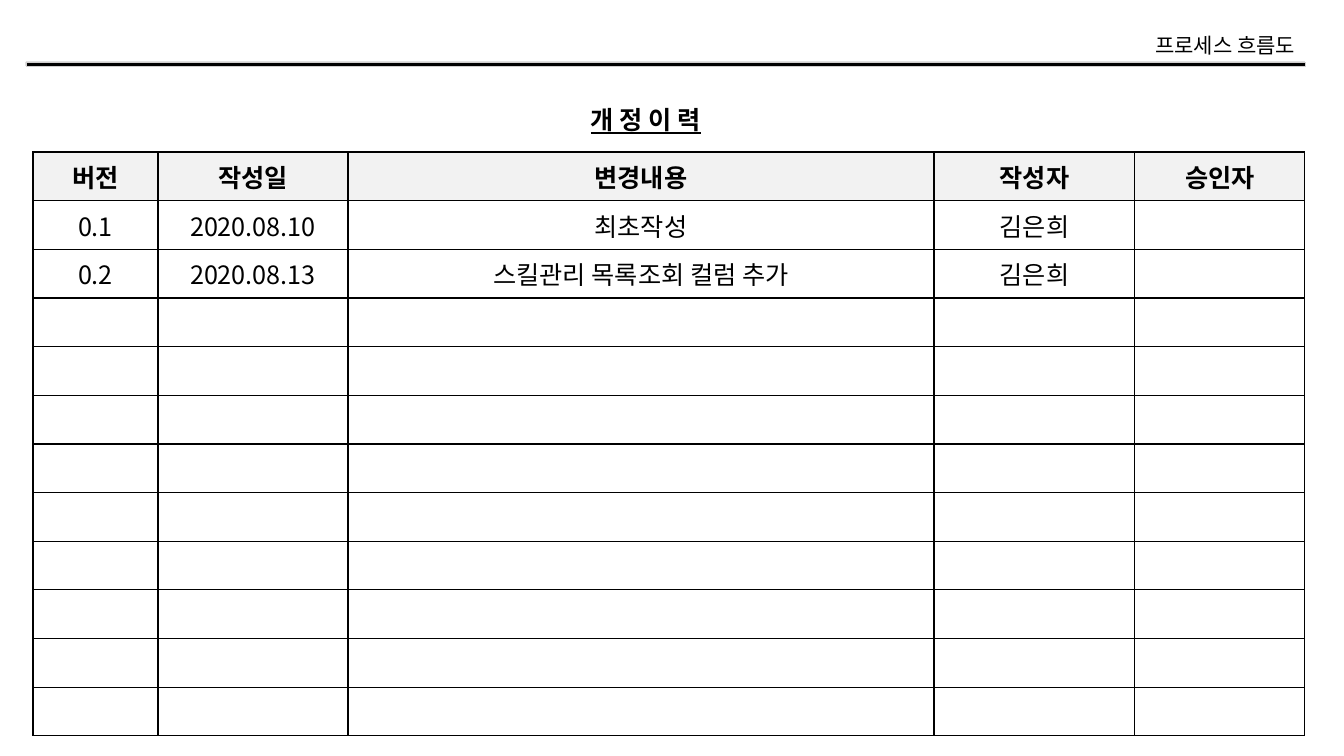
from itertools import product

from lxml.etree import SubElement
from pptx import Presentation
from pptx.dml.color import RGBColor
from pptx.enum.shapes import MSO_SHAPE
from pptx.enum.text import MSO_ANCHOR, MSO_AUTO_SIZE, PP_ALIGN
from pptx.oxml.ns import qn
from pptx.util import Pt

PX = 914400 / 100.8
FONT = "Noto Sans CJK KR"
BLACK = RGBColor(0x00, 0x00, 0x00)
WHITE = RGBColor(0xFF, 0xFF, 0xFF)
HEADER_GRAY = RGBColor(0xF2, 0xF2, 0xF2)
EDGE_GRAY = RGBColor(0xD0, 0xCE, 0xCE)

COLUMN_WIDTHS = [125, 190, 586, 201, 170]
ROW_COUNT = 12
REVISIONS = [
    ["버전", "작성일", "변경내용", "작성자", "승인자"],
    ["0.1", "2020.08.10", "최초작성", "김은희", ""],
    ["0.2", "2020.08.13", "스킬관리 목록조회 컬럼 추가", "김은희", ""],
]


def emu(*lengths):
    return [round(length * PX) for length in lengths]


def write(frame, text, align, **formats):
    para = frame.paragraphs[0]
    para.alignment = align
    span = para.add_run()
    span.text = text
    for name, value in {"name": FONT, "size": Pt(18), **formats}.items():
        setattr(span.font, name, value)
    span.font.color.rgb = BLACK
    SubElement(span._r.get_or_add_rPr(), qn("a:ea"), typeface=FONT)


def add_label(page, box, text, align, wrap, **formats):
    frame = page.shapes.add_textbox(*emu(*box)).text_frame
    frame.word_wrap = wrap
    frame.auto_size = MSO_AUTO_SIZE.SHAPE_TO_FIT_TEXT
    write(frame, text, align, **formats)


def add_header(page, box):
    left, top, width, height = box
    rule = page.shapes.add_shape(
        MSO_SHAPE.RECTANGLE, *emu(left, top + height - 4, width, 4))
    rule.shadow.inherit = False
    rule.fill.solid()
    rule.fill.fore_color.rgb = BLACK
    rule.line.color.rgb = EDGE_GRAY
    rule.line.width = Pt(0.3)
    add_label(page, (left + width - 176, top, 176, 35), "프로세스 흐름도",
              PP_ALIGN.RIGHT, False, size=Pt(15))


def add_borders(cell):
    properties = cell._tc.get_or_add_tcPr()
    for side in ("lnL", "lnR", "lnT", "lnB"):
        line = SubElement(properties, qn(f"a:{side}"), w=str(Pt(1)))
        fill = SubElement(line, qn("a:solidFill"))
        SubElement(fill, qn("a:srgbClr"), val=str(BLACK))


def add_revision_table(page, box):
    frame = page.shapes.add_table(ROW_COUNT, len(COLUMN_WIDTHS), *emu(*box))
    table = frame.table
    table.first_row = table.horz_banding = False
    for column, width in zip(table.columns, emu(*COLUMN_WIDTHS)):
        column.width = width
    for row, column in product(range(ROW_COUNT), range(len(COLUMN_WIDTHS))):
        cell = table.cell(row, column)
        cell.vertical_anchor = MSO_ANCHOR.MIDDLE
        add_borders(cell)
        cell.fill.solid()
        cell.fill.fore_color.rgb = HEADER_GRAY if row == 0 else WHITE
        text = REVISIONS[row][column] if row < len(REVISIONS) else ""
        if text:
            write(cell.text_frame, text, PP_ALIGN.CENTER, bold=row == 0)


def add_revision_page(deck):
    page = deck.slides.add_slide(deck.slide_layouts[6])
    add_header(page, (26, 28, 1279, 38))
    add_label(page, (581, 99, 168, 40), "개 정 이 력", PP_ALIGN.LEFT, True,
              bold=True, underline=True)
    add_revision_table(page, (33, 152, sum(COLUMN_WIDTHS), 584))


def main():
    deck = Presentation()
    deck.slide_width, deck.slide_height = emu(1344, 756)
    add_revision_page(deck)
    deck.save("out.pptx")


if __name__ == "__main__":
    main()
